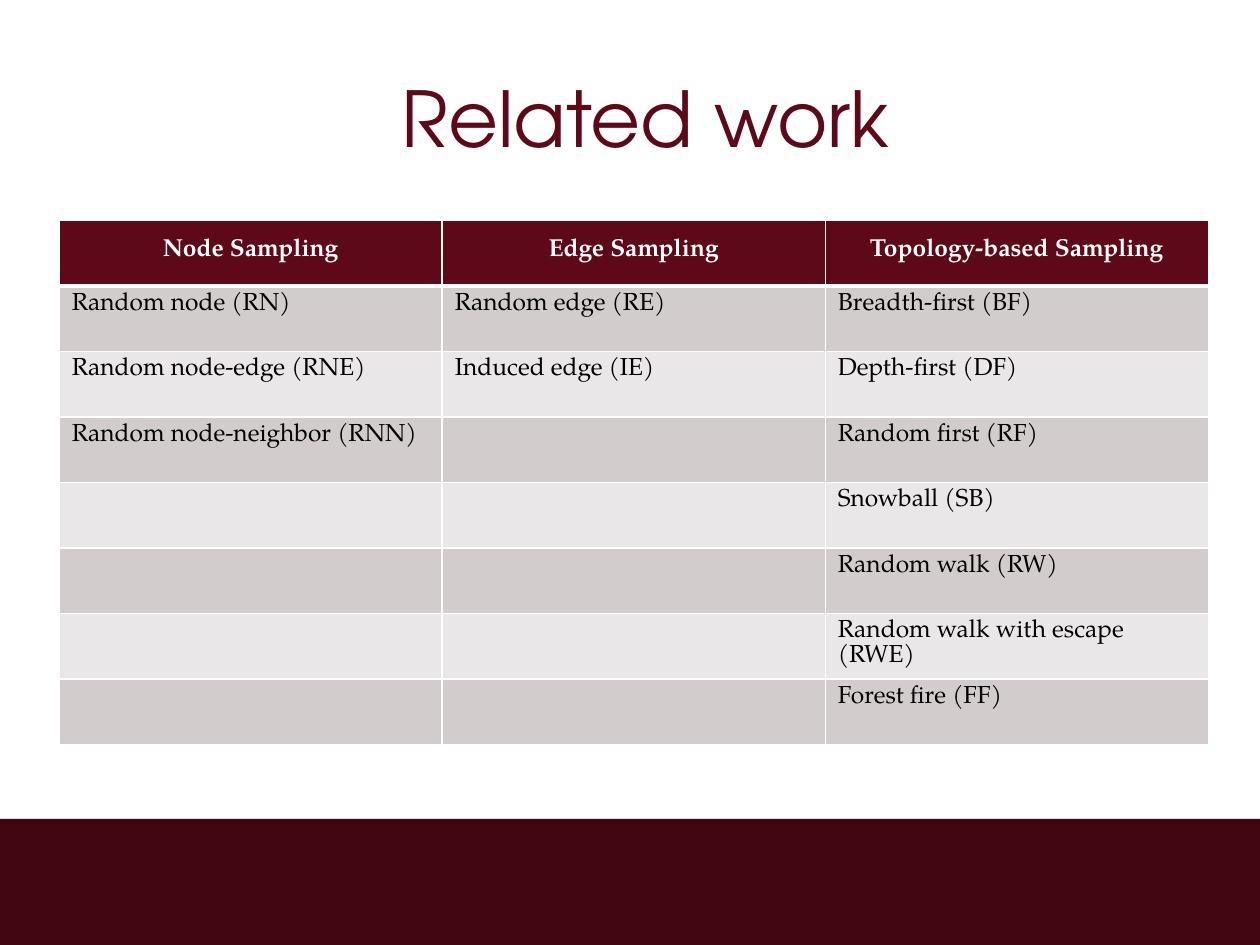
from itertools import zip_longest

from pptx import Presentation
from pptx import util as u
from pptx.dml.color import RGBColor
from pptx.enum import shapes, text
from pptx.oxml import parse_xml
from pptx.oxml.ns import nsdecls

THEME = {
    "title_font": "TeX Gyre Adventor", "body_font": "TeX Gyre Pagella",
    "title_size": 44, "body_size": 14,
    "maroon": "5E091A", "footer": "410611", "white": "FFFFFF", "black": "000000",
    "bands": ("D2CCCD", "EAE7E8"),
}
SAMPLING = {
    "Node Sampling": ["Random node (RN)", "Random node-edge (RNE)",
                      "Random node-neighbor (RNN)"],
    "Edge Sampling": ["Random edge (RE)", "Induced edge (IE)"],
    "Topology-based Sampling": [
        "Breadth-first (BF)", "Depth-first (DF)", "Random first (RF)",
        "Snowball (SB)", "Random walk (RW)", "Random walk with escape (RWE)",
        "Forest fire (FF)"],
}


def format_font(font, color, **values):
    for name, value in values.items():
        setattr(font, name, value)
    font.color.rgb = RGBColor.from_string(color)


def add_borders(cell, widths):
    """Draw white cell edges; widths maps L, R, T, B (in that order) to points."""
    for side, width in widths.items():
        cell._tc.get_or_add_tcPr().append(parse_xml(
            f'<a:ln{side} {nsdecls("a")} w="{u.Pt(width)}"><a:solidFill>'
            f'<a:srgbClr val="{THEME["white"]}"/></a:solidFill></a:ln{side}>'))


deck = Presentation()
deck.slide_width, deck.slide_height = u.Inches(10), u.Inches(7.5)
page = deck.slides.add_slide(deck.slide_layouts[5])

footer = page.shapes.add_shape(shapes.MSO_SHAPE.RECTANGLE, u.Inches(0), u.Inches(6.5),
                               u.Inches(10), u.Inches(1))
footer.shadow.inherit = False
footer.fill.solid()
footer.fill.fore_color.rgb = RGBColor.from_string(THEME["footer"])
footer.line.fill.background()

title = page.shapes.title
title_place = {"left": 0.75, "top": 0.3, "width": 8.75, "height": 1.25}
for name, value in title_place.items():
    setattr(title, name, u.Inches(value))
title.text_frame.text = "Related work"
title.text_frame.vertical_anchor = text.MSO_ANCHOR.MIDDLE
para = title.text_frame.paragraphs[0]
para.alignment = text.PP_ALIGN.CENTER
format_font(para.runs[0].font, THEME["maroon"], name=THEME["title_font"],
            size=u.Pt(THEME["title_size"]))

rows = [tuple(SAMPLING), *zip_longest(*SAMPLING.values(), fillvalue="")]
column_width, row_height = u.Inches(3.04), u.Inches(0.52)
table = page.shapes.add_table(len(rows), len(SAMPLING), u.Inches(0.47), u.Inches(1.75),
                              column_width * len(SAMPLING),
                              row_height * len(rows)).table

for row_index, row in enumerate(rows):
    is_header = row_index == 0
    fill = THEME["maroon"] if is_header else THEME["bands"][(row_index - 1) % 2]
    borders = {"L": 1, "R": 1, "T": 3 if row_index == 1 else 1, "B": 3 if is_header else 1}
    for column_index, words in enumerate(row):
        cell = table.cell(row_index, column_index)
        add_borders(cell, borders)
        cell.fill.solid()
        cell.fill.fore_color.rgb = RGBColor.from_string(fill)
        if not words:
            continue
        para = cell.text_frame.paragraphs[0]
        if is_header:
            para.alignment = text.PP_ALIGN.CENTER
            para.line_spacing = 1.5
        span = para.add_run()
        span.text = words
        format_font(span.font, THEME["white"] if is_header else THEME["black"],
                    name=THEME["body_font"], size=u.Pt(THEME["body_size"]), bold=is_header)

deck.save("out.pptx")
